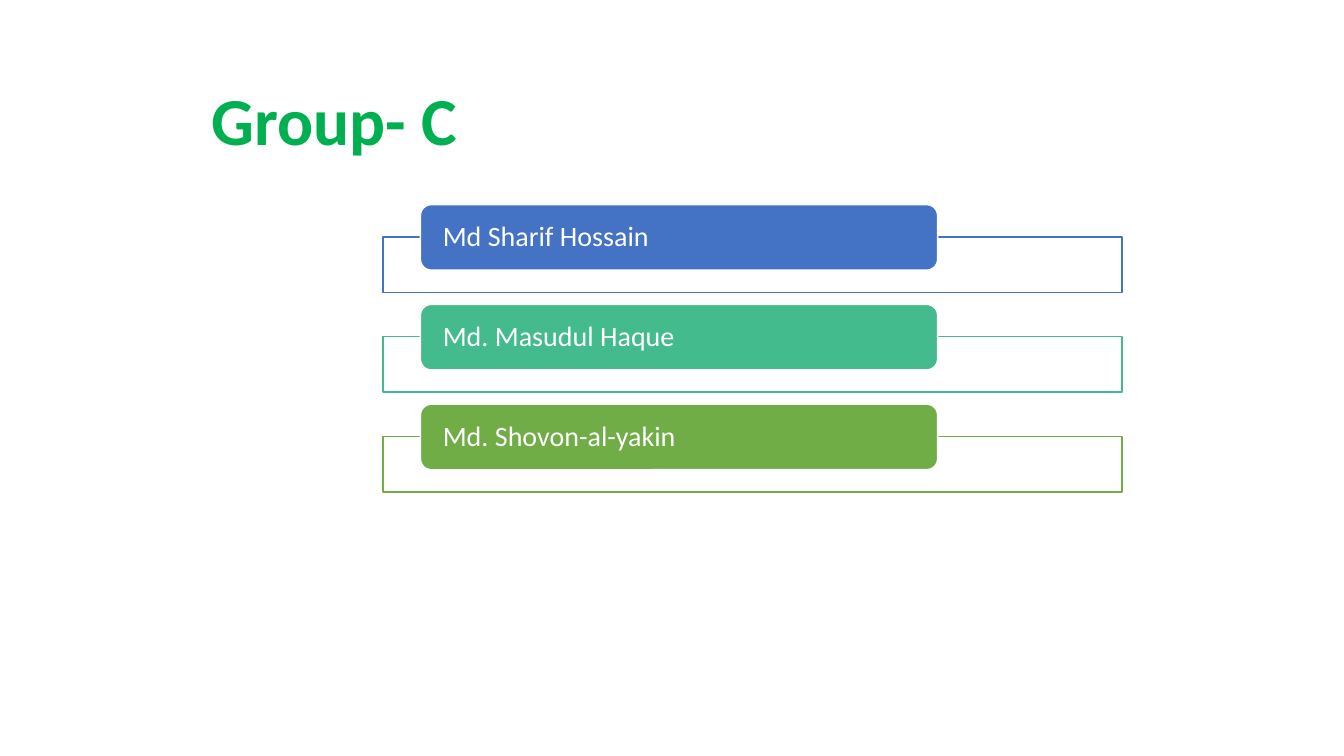
"""Build the Group C member list slide."""
from dataclasses import dataclass

from pptx import Presentation
from pptx.dml.color import RGBColor
from pptx.enum.shapes import MSO_SHAPE
from pptx.enum.text import MSO_ANCHOR, PP_ALIGN
from pptx.shapes.autoshape import Shape
from pptx.slide import Slide
from pptx.util import Inches, Pt

WHITE = RGBColor(0xFF, 0xFF, 0xFF)
TITLE_GREEN = RGBColor(0x00, 0xB0, 0x50)
BLUE = RGBColor(0x44, 0x72, 0xC4)
TEAL = RGBColor(0x43, 0xBB, 0x8D)
GREEN = RGBColor(0x70, 0xAD, 0x47)

FIRST_TOP = 2.03
ROW_PITCH = 0.99
FRAME_OFFSET = 0.32


@dataclass(frozen=True)
class Member:
    name: str
    color: RGBColor


MEMBERS = [
    Member("Md Sharif Hossain", BLUE),
    Member("Md. Masudul Haque", TEAL),
    Member("Md. Shovon-al-yakin", GREEN),
]


def write_text(shape: Shape, text: str, *, size: float, color: RGBColor,
               bold: bool = False, alignment: PP_ALIGN = PP_ALIGN.LEFT,
               line_spacing: float = 1.0) -> None:
    paragraph = shape.text_frame.paragraphs[0]
    paragraph.alignment = alignment
    paragraph.line_spacing = line_spacing
    run = paragraph.add_run()
    run.text = text
    run.font.name = "Calibri"
    run.font.size = Pt(size)
    run.font.bold = bold
    run.font.color.rgb = color


def add_box(slide: Slide, kind: MSO_SHAPE, left: float, top: float, width: float,
            height: float, fill: RGBColor, line: RGBColor) -> Shape:
    shape = slide.shapes.add_shape(
        kind, Inches(left), Inches(top), Inches(width), Inches(height))
    shape.shadow.inherit = False
    shape.fill.solid()
    shape.fill.fore_color.rgb = fill
    shape.line.color.rgb = line
    shape.line.width = Pt(1)
    return shape


def add_member(slide: Slide, member: Member, top: float) -> None:
    add_box(slide, MSO_SHAPE.RECTANGLE, 3.8, top + FRAME_OFFSET, 7.33, 0.55,
            WHITE, member.color)
    label = add_box(slide, MSO_SHAPE.ROUNDED_RECTANGLE, 4.17, top, 5.13, 0.65,
                    member.color, WHITE)
    frame = label.text_frame
    frame.word_wrap = True
    frame.vertical_anchor = MSO_ANCHOR.MIDDLE
    frame.margin_left = frame.margin_right = Inches(0.19)
    frame.margin_top = frame.margin_bottom = Inches(0)
    write_text(label, member.name, size=20, color=WHITE, line_spacing=0.9)


def add_title(slide: Slide) -> None:
    title = slide.shapes.add_textbox(Inches(0), Inches(0.73), Inches(6.79), Inches(0.91))
    title.text_frame.word_wrap = True
    write_text(title, "Group- C ", size=48, color=TITLE_GREEN, bold=True,
               alignment=PP_ALIGN.CENTER)


def main() -> None:
    presentation = Presentation()
    presentation.slide_width = Inches(13.33)
    presentation.slide_height = Inches(7.5)
    slide = presentation.slides.add_slide(presentation.slide_layouts[6])
    add_title(slide)
    for index, member in enumerate(MEMBERS):
        add_member(slide, member, FIRST_TOP + index * ROW_PITCH)
    presentation.save("out.pptx")


if __name__ == "__main__":
    main()
